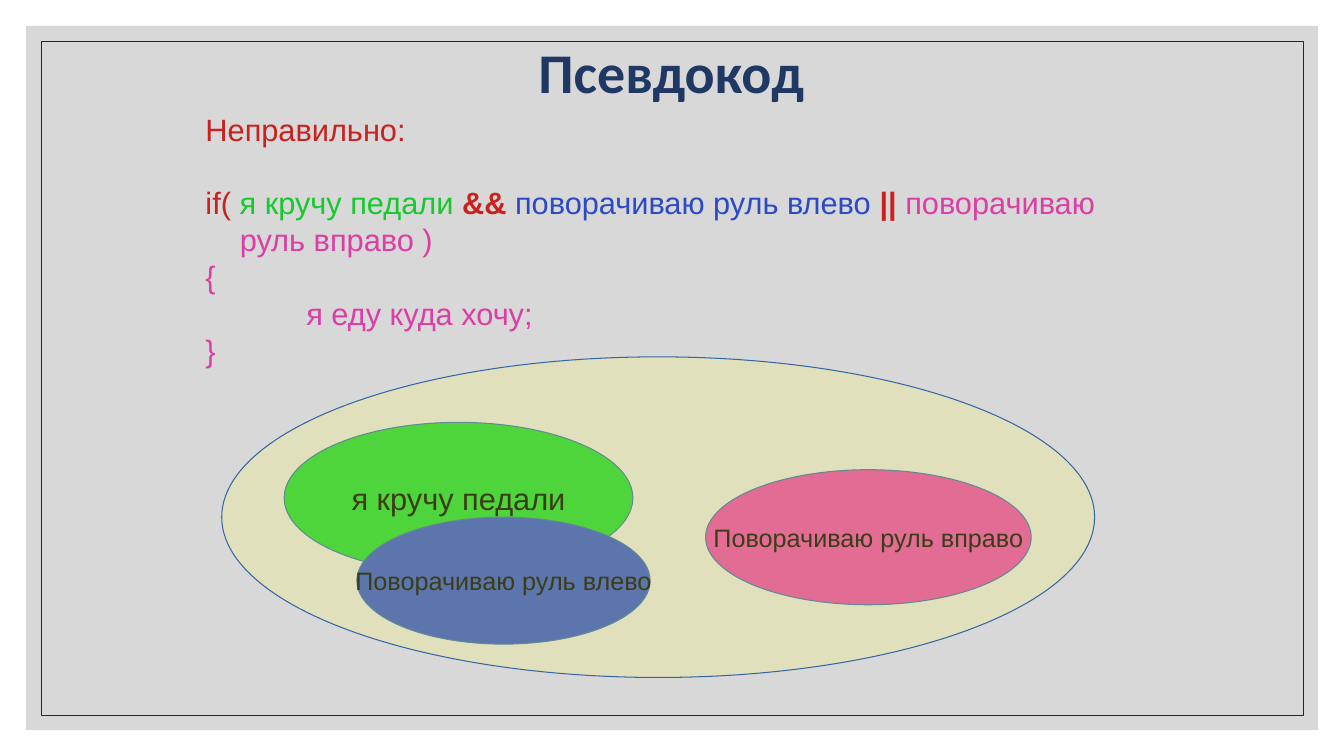
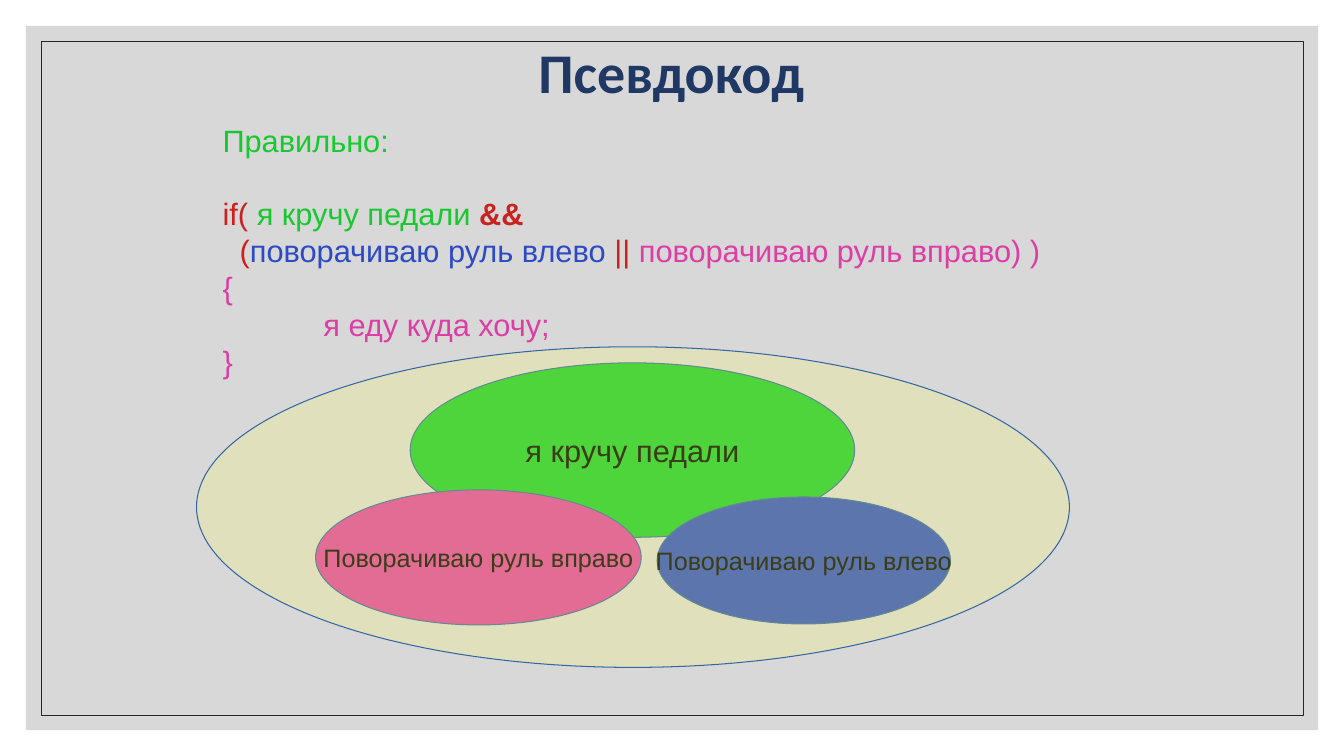
import pptx
import pptx.dml.color
import pptx.enum.shapes
import pptx.enum.text
import pptx.oxml.ns
import pptx.util
import lxml.etree

Pt = pptx.util.Pt
Shapes = pptx.enum.shapes.MSO_SHAPE
Align = pptx.enum.text.PP_ALIGN
Anchor = pptx.enum.text.MSO_ANCHOR

RED = "C9211E"
GREEN = "17C82F"
BLUE = "2C4AC4"
PINK = "DC3EA5"
NAVY = "203864"
BLACK = "000000"
OUTLINE = "3465A4"
PANEL = "BFBFBF"
FRAME = "262626"
YELLOW = "FAFF64"


def add_figure(slide, kind, box, fill=None, opacity=100, line=None, line_width=0.75):
    shape = slide.shapes.add_shape(kind, *[Pt(length) for length in box])
    shape.shadow.inherit = False
    if fill:
        shape.fill.solid()
        shape.fill.fore_color.rgb = pptx.dml.color.RGBColor.from_string(fill)
        if opacity < 100:
            color = shape.fill._xPr.find(".//" + pptx.oxml.ns.qn("a:srgbClr"))
            alpha = lxml.etree.SubElement(color, pptx.oxml.ns.qn("a:alpha"))
            alpha.set("val", str(opacity * 1000))
    else:
        shape.fill.background()
    if line:
        shape.line.color.rgb = pptx.dml.color.RGBColor.from_string(line)
        shape.line.width = Pt(line_width)
    else:
        shape.line.fill.background()
    return shape


def add_run(paragraph, text, color, size, font="Arial", bold=False):
    run = paragraph.add_run()
    run.text = text
    run.font.name = font
    run.font.size = Pt(size)
    run.font.bold = bold
    run.font.color.rgb = pptx.dml.color.RGBColor.from_string(color)


WIDTH, HEIGHT = 960, 540
CODE_SIZE = 22
HEADING_GAP = 26
BODY_INDENT = 72

closing_lines = [
    (0, [("{", PINK, False)]),
    (BODY_INDENT, [("я еду куда хочу;", PINK, False)]),
    (0, [("}", PINK, False)]),
]
condition_start = [("if( ", RED, False), ("я кручу педали ", GREEN, False)]

examples = [
    {
        "code_box": (139.7, 75.6, 680.4, 179.3),
        "lines": [
            (0, [("Неправильно:", RED, False)]),
            (0, condition_start + [
                ("&& ", RED, True),
                ("поворачиваю руль влево ", BLUE, False),
                ("|| ", RED, True),
                ("поворачиваю", PINK, False),
            ]),
            (24.5, [("руль вправо )", PINK, False)]),
        ],
        "pedals": (203, 301.7, 249.1, 108),
        "left_turn": (254.9, 369.4),
        "right_turn": (504, 335.5),
        "universe": (158.4, 254.9),
    },
    {
        "code_box": (151.9, 83.5, 668.9, 203.8),
        "lines": [
            (0, [("Правильно:", GREEN, False)]),
            (0, condition_start + [("&&", RED, True)]),
            (12.2, [
                ("(", RED, False),
                ("поворачиваю руль влево ", BLUE, False),
                ("|| ", RED, False),
                ("поворачиваю руль вправо) )", PINK, False),
            ]),
        ],
        "pedals": (293, 259.2, 317.5, 124.6),
        "left_turn": (469.4, 355),
        "right_turn": (225.4, 349.9),
        "universe": (140.4, 247.7),
    },
]

presentation = pptx.Presentation()
presentation.slide_width = Pt(WIDTH)
presentation.slide_height = Pt(HEIGHT)

for example in examples:
    slide = presentation.slides.add_slide(presentation.slide_layouts[6])

    for inset, style in [
        (18.5, {"fill": PANEL, "opacity": 60}),
        (29.3, {"line": FRAME, "line_width": 0.5}),
    ]:
        box = (inset, inset, WIDTH - 2 * inset, HEIGHT - 2 * inset)
        add_figure(slide, Shapes.RECTANGLE, box, **style)

    title = slide.shapes.add_textbox(Pt(169.2), Pt(23.8), Pt(620.6), Pt(59.8))
    title.text_frame.word_wrap = True
    title.text_frame.vertical_anchor = Anchor.MIDDLE
    paragraph = title.text_frame.paragraphs[0]
    paragraph.alignment = Align.CENTER
    paragraph.line_spacing = 0.9
    add_run(paragraph, "Псевдокод", NAVY, 40, "Calibri", True)

    code = slide.shapes.add_textbox(*[Pt(length) for length in example["code_box"]])
    code.text_frame.word_wrap = True
    for index, (indent, runs) in enumerate(example["lines"] + closing_lines):
        if index == 0:
            paragraph = code.text_frame.paragraphs[0]
            paragraph.space_after = Pt(HEADING_GAP)
        else:
            paragraph = code.text_frame.add_paragraph()
        if indent:
            paragraph._p.get_or_add_pPr().set("marL", str(int(Pt(indent))))
        for text, color, bold in runs:
            add_run(paragraph, text, color, CODE_SIZE, bold=bold)

    for box, fill, label, size in [
        (example["pedals"], GREEN, "я кручу педали", 22),
        (example["left_turn"] + (209.5, 90.7), BLUE, "Поворачиваю руль влево", 18),
        (example["right_turn"] + (232.6, 96.5), PINK, "Поворачиваю руль вправо", 18),
    ]:
        ellipse = add_figure(slide, Shapes.OVAL, box, fill, line=OUTLINE)
        ellipse.text_frame.word_wrap = False
        ellipse.text_frame.vertical_anchor = Anchor.MIDDLE
        paragraph = ellipse.text_frame.paragraphs[0]
        paragraph.alignment = Align.CENTER
        add_run(paragraph, label, BLACK, size)

    universe_box = example["universe"] + (623.5, 229)
    add_figure(slide, Shapes.OVAL, universe_box, YELLOW, 24, OUTLINE)

presentation.save("out.pptx")
